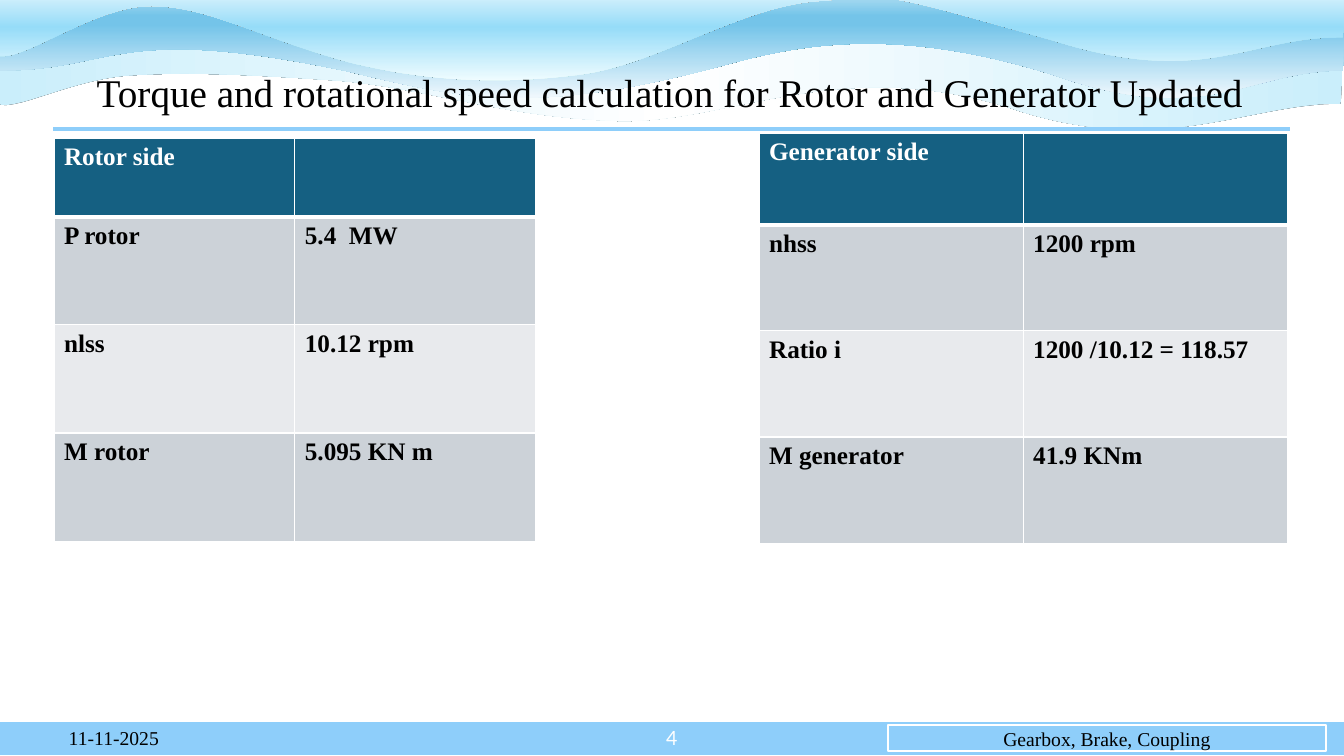
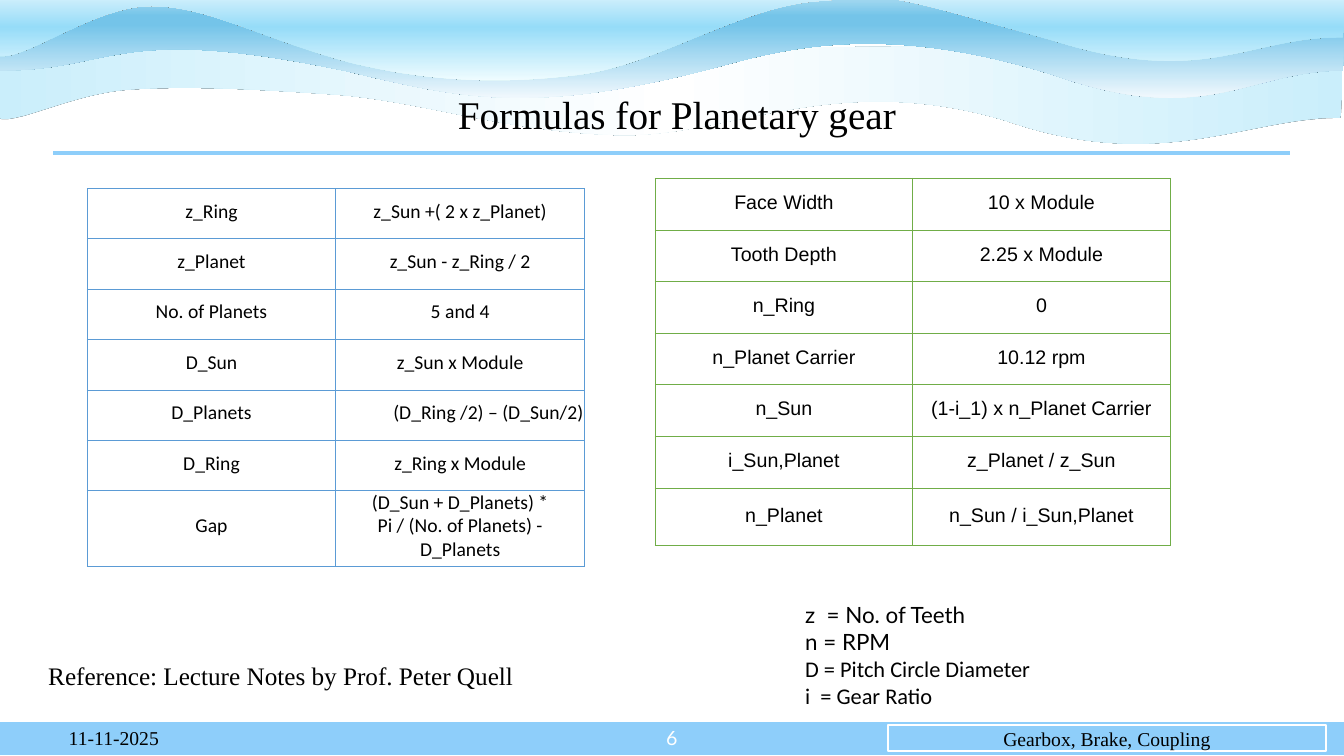
from dataclasses import dataclass

from lxml.etree import SubElement
from pptx import Presentation
from pptx.dml.color import RGBColor as Rgb
from pptx.enum.shapes import MSO_CONNECTOR as Connector, MSO_SHAPE as Preset
from pptx.enum.text import MSO_ANCHOR as Anchor, MSO_AUTO_SIZE as AutoSize, PP_ALIGN as Align
from pptx.oxml.ns import qn
from pptx.util import Emu, Inches, Pt


@dataclass(frozen=True)
class Theme:
    sky: str = "8ECEFA"
    ink: str = "000000"
    white: str = "FFFFFF"
    header: str = "156082"
    stripes: tuple = ("CCD2D8", "E8EAED")
    blue_grid: str = "5B9BD5"
    green_grid: str = "70AD47"
    serif: str = "Times New Roman"
    label: str = "Lato"
    body: str = "Calibri"
    sans: str = "Arial"
    title_size: int = 28
    text_size: int = 18
    legend_size: int = 16
    small_size: int = 14


THEME = Theme()

# The grid has square cells of a tenth of an inch: 133.3 columns by 75 rows
COLUMNS, ROWS = 133.33, 75
LEFT_EDGE, RIGHT_EDGE = 5.3, 128

# Wave outlines: six numbers make a curve, two make a straight edge
LOW_WAVE = [
    (133, 10.3),
    (123.7, 10.2, 115.2, 15.9, 99.9, 10.6), (82.7, 5.4, 72.1, 12.4, 61, 12),
    (49.9, 11.6, 42.1, 8.7, 33.5, 8), (24.9, 7.4, 18.3, 7.1, 12.7, 7.5),
    (7.1, 7.9, 1.4, 11.1, -0.2, 10.3), (-0.2, 8, -0.4, 5.3, -0.4, 3),
    (31.3, 3.1), (65.2, 3.4), (94.1, 3.2), (133.2, 3.4),
    (133.2, 5.5, 133.2, 8, 133, 10.3),
]
MIDDLE_WAVE = [
    (133.2, 7),
    (123.9, 7, 119.6, 12.8, 104.4, 7.4), (87.1, 2, 77.3, 5, 70.6, 6.8),
    (52.8, 11.4, 45.9, 9.8, 34.6, 7.1), (11.3, 2.2, 11.5, 7, 0, 7),
    (0, 4.7, 0.1, 2.4, 0.1, 0),
    (31.3, 0.1), (65.4, -0.1), (94.6, 0), (133.3, 0.4),
    (133.3, 2.6, 133.4, 4.7, 133.2, 7),
]
TOP_WAVE = [
    (133.2, 3.7),
    (123.9, 3.6, 119.6, 8.8, 104.4, 4), (87.2, -0.8, 89.1, -0.5, 81.3, 0.1),
    (73.5, 0.6, 65.3, 6.4, 57.6, 7.4), (49.8, 8.4, 42.4, 8.1, 34.7, 6.2),
    (25.8, 3.8, 20.7, 0.6, 15, 0.6), (9.2, 0.6, 2.2, 6.3, -0.3, 5.5),
    (-0.2, 3.4, 0.1, -0.4, 0.1, -2.5),
    (31.3, -2.4), (65.4, -2.6), (94.6, -2.5), (133.3, -2.2),
    (133.3, -0.3, 133.4, 1.6, 133.2, 3.7),
]
ACROSS, DOWN = 0, 270
LOW_STOPS = [(0, "CAEEFB"), (50, "FFFFFF"), (100, "CAEEFB")]
MIDDLE_STOPS = [(0, "A2D8F0"), (17, "74C4E9"), (26, "74C4E9"), (100, "F0F8FD")]
TOP_STOPS = [(0, "FFFFFF"), (50, "96DCF8"), (100, "EFFCFF")]


def cells(count):
    return Emu(round(count * Inches(0.1)))


def area(*counts):
    return [cells(count) for count in counts]


def apply(target, values):
    for name, value in values.items():
        setattr(target, name, value)


def write(paragraph, text, font, size, color=THEME.ink, bold=False, **layout):
    run = paragraph.add_run()
    run.text = text
    apply(run.font, {"name": font, "size": Pt(size), "bold": bold})
    run.font.color.rgb = Rgb.from_string(color)
    apply(paragraph, layout)


def add_label(slide, place, lines, size, anchor=Anchor.TOP, **layout):
    """Put (text, font) lines into a text box."""
    frame = slide.shapes.add_textbox(*area(*place)).text_frame
    apply(frame, {"word_wrap": True, "vertical_anchor": anchor})
    color = layout.pop("color", THEME.ink)
    for index, (text, font) in enumerate(lines):
        paragraph = frame.add_paragraph() if index else frame.paragraphs[0]
        write(paragraph, text, font, size, color, **layout)


def add_panel(slide, place):
    panel = slide.shapes.add_shape(Preset.RECTANGLE, *area(*place))
    panel.shadow.inherit = False
    panel.fill.solid()
    panel.fill.fore_color.rgb = Rgb.from_string(THEME.sky)
    panel.line.color.rgb = Rgb.from_string(THEME.white)
    panel.line.width = Pt(1.5)
    return panel


# Waves
def bend(wave, outline, height, drop):
    """Swap the straight segments for curves and give the box its full height."""
    wave.height = cells(height)
    outline_path = wave.element.spPr.find(".//" + qn("a:path"))
    outline_path.set("h", str(wave.height))
    edges = outline_path.findall(qn("a:lnTo"))
    for edge, part in zip(edges, outline[1:]):
        if len(part) == 2:
            continue
        edge.tag = qn("a:cubicBezTo")
        edge.clear()
        for x, y in zip(part[::2], part[1::2]):
            SubElement(edge, qn("a:pt"), x=str(cells(x) - wave.left),
                       y=str(cells(y + drop) - wave.top))


def add_wave(slide, outline, height, stops, angle, drop=0):
    points = [area(part[-2], part[-1] + drop) for part in outline]
    builder = slide.shapes.build_freeform(*points[0])
    builder.add_line_segments(points[1:], close=True)
    wave = builder.convert_to_shape()
    bend(wave, outline, height, drop)
    wave.line.fill.background()
    wave.fill.gradient()
    wave.fill.gradient_angle = angle
    properties = wave.element.spPr
    stop_list = properties.find(".//" + qn("a:gsLst"))
    stop_list.clear()
    for position, color in stops:
        stop = SubElement(stop_list, qn("a:gs"), pos=str(position * 1000))
        SubElement(stop, qn("a:srgbClr"), val=color)
    # A shadow without offset gives the crest its thin dark edge
    wave.shadow.inherit = False
    shadow = SubElement(properties.find(qn("a:effectLst")), qn("a:outerShdw"),
                        blurRad="0", dist="0", dir="0")
    SubElement(shadow, qn("a:srgbClr"), val=THEME.ink)


# Shared frame of a slide
def add_footer(slide, number):
    add_panel(slide, (-0.1, 71.5, COLUMNS + 0.2, 3.5))
    add_label(slide, (65.1, 71.2, 3.1, 4), [(number, THEME.label)], THEME.small_size,
              Anchor.MIDDLE, color=THEME.white, alignment=Align.RIGHT)
    course = add_panel(slide, (88.1, 71.95, 43.45, 2.6)).text_frame
    course.vertical_anchor = Anchor.MIDDLE
    write(course.paragraphs[0], "Gearbox, Brake, Coupling", THEME.serif,
          THEME.small_size, alignment=Align.CENTER)
    add_label(slide, (4, 71.3, 14.6, 4), [("11-11-2025", THEME.serif)], THEME.small_size,
              Anchor.MIDDLE, alignment=Align.CENTER, line_spacing=0.9)


def add_title(slide, text, corner):
    title = slide.shapes.title
    place = area(*corner, 122.3, 7.8)
    apply(title, dict(zip(("left", "top", "width", "height"), place)))
    apply(title.text_frame, {"vertical_anchor": Anchor.MIDDLE, "word_wrap": True,
                             "auto_size": AutoSize.NONE})
    write(title.text_frame.paragraphs[0], text, THEME.serif, THEME.title_size,
          alignment=Align.CENTER, line_spacing=0.9)
    # Bring the title in front of the waves
    title.element.getparent().append(title.element)


def add_rule(slide, row):
    rule = slide.shapes.add_connector(
        Connector.STRAIGHT, *area(LEFT_EDGE, row, RIGHT_EDGE, row))
    rule.line.color.rgb = Rgb.from_string(THEME.sky)
    rule.line.width = Pt(3)
    SubElement(rule.element.spPr, qn("a:effectLst"))


def add_framed_slide(deck, title, title_corner, number, rule_row, wave_drop=0):
    slide = deck.slides.add_slide(deck.slide_layouts[5])
    add_wave(slide, LOW_WAVE, 9.8, LOW_STOPS, ACROSS, wave_drop)
    add_wave(slide, MIDDLE_WAVE, 9.8, MIDDLE_STOPS, DOWN)
    add_wave(slide, TOP_WAVE, 10.6, TOP_STOPS, DOWN)
    add_footer(slide, number)
    add_title(slide, title, title_corner)
    add_rule(slide, rule_row)
    return slide


# Tables
def set_borders(cell, color, widths):
    properties = cell._tc.get_or_add_tcPr()
    for side, width in widths.items():
        edge = SubElement(properties, qn("a:ln" + side), w=str(Pt(width)))
        SubElement(SubElement(edge, qn("a:solidFill")), qn("a:srgbClr"), val=color)


def add_grid(slide, corner, column, heights, content, border, width, head_width):
    """Draw an empty bordered table; yield row index, column index, cell, text."""
    table = slide.shapes.add_table(
        len(content), 2, *area(*corner, 2 * column, sum(heights))).table
    apply(table, {"first_row": False, "horz_banding": False})
    for table_column in table.columns:
        table_column.width = cells(column)
    for row, (height, texts) in enumerate(zip(heights, content)):
        table.rows[row].height = cells(height)
        for index, text in enumerate(texts):
            cell = table.cell(row, index)
            set_borders(cell, border, {
                "L": width, "R": width,
                "T": head_width if row == 1 else width,
                "B": head_width if row == 0 else width})
            yield row, index, cell, text


def add_side_table(slide, corner, column, heights, content):
    for row, _, cell, text in add_grid(slide, corner, column, heights, content,
                                       THEME.white, 1, 3):
        cell.fill.solid()
        cell.fill.fore_color.rgb = Rgb.from_string(
            THEME.stripes[(row - 1) % 2] if row else THEME.header)
        if text:
            write(cell.text_frame.paragraphs[0], text, THEME.serif, THEME.text_size,
                  THEME.ink if row else THEME.white, bold=True)


def add_formula_table(slide, corner, column, heights, content, border, font,
                      right_cell=None, narrow_cell=None):
    for row, index, cell, text in add_grid(slide, corner, column, heights, content,
                                           border, 0.75, 0.75):
        cell.fill.background()
        side = cells(3 if (row, index) == narrow_cell else 0.1)
        apply(cell, {"vertical_anchor": Anchor.MIDDLE, "margin_left": side,
                     "margin_right": side, "margin_top": cells(0.1),
                     "margin_bottom": cells(0.5)})
        write(cell.text_frame.paragraphs[0], text, font, THEME.small_size,
              alignment=Align.RIGHT if (row, index) == right_cell else Align.CENTER,
              line_spacing=Pt(16.5))


# Slides
def build_torque_slide(deck):
    slide = add_framed_slide(
        deck, "Torque and rotational speed calculation for Rotor and Generator Updated",
        (LEFT_EDGE, 5.5), "4", 12.8)
    add_side_table(slide, (5.35, 13.7), 23.9, [7.8] + [10.73] * 3, [
        ("Rotor side", ""), ("P rotor", "5.4  MW"),
        ("nlss", "10.12 rpm"), ("M rotor", "5.095 KN m")])
    add_side_table(slide, (75.3, 13.2), 26.2, [9.1] + [10.53] * 3, [
        ("Generator side", ""), ("nhss", "1200 rpm"),
        ("Ratio i", "1200 /10.12 = 118.57"), ("M generator", "41.9 KNm")])


def build_formula_slide(deck):
    slide = add_framed_slide(deck, "Formulas for Planetary gear", (6, 7.7), "6", 15.2,
                             wave_drop=1.4)
    add_label(slide, (78.9, 59.15, 33.6, 11.8), [
        ("z  = No. of Teeth", THEME.label), ("n = RPM", THEME.label),
        ("D = Pitch Circle Diameter", THEME.body), ("i  = Gear Ratio", THEME.body),
    ], THEME.legend_size)
    add_label(slide, (3.8, 65.05, 74.9, 4), [
        ("Reference: Lecture Notes by Prof. Peter Quell", THEME.serif)], THEME.text_size)
    add_formula_table(slide, (8.65, 18.7), 24.67, [5] * 6 + [5.3], [
        ("z_Ring", "z_Sun +( 2 x z_Planet)"), ("z_Planet", "z_Sun - z_Ring / 2"),
        ("No. of Planets", "5 and 4"), ("D_Sun", "z_Sun x Module"),
        ("D_Planets", "(D_Ring /2) – (D_Sun/2)"), ("D_Ring", "z_Ring x Module"),
        ("Gap", "(D_Sun + D_Planets) * Pi / (No. of Planets) - D_Planets"),
    ], THEME.blue_grid, THEME.body, right_cell=(4, 1), narrow_cell=(6, 1))
    add_formula_table(slide, (65, 17.7), 25.55, [5.12] * 6 + [5.7], [
        ("Face Width", "10 x Module"), ("Tooth Depth", "2.25 x Module"),
        ("n_Ring", "0"), ("n_Planet Carrier", "10.12 rpm"),
        ("n_Sun", "(1-i_1) x n_Planet Carrier"), ("i_Sun,Planet", "z_Planet / z_Sun"),
        ("n_Planet", "n_Sun / i_Sun,Planet"),
    ], THEME.green_grid, THEME.sans)


def main():
    deck = Presentation()
    apply(deck, {"slide_width": cells(COLUMNS), "slide_height": cells(ROWS)})
    build_torque_slide(deck)
    build_formula_slide(deck)
    deck.save("out.pptx")


if __name__ == "__main__":
    main()
